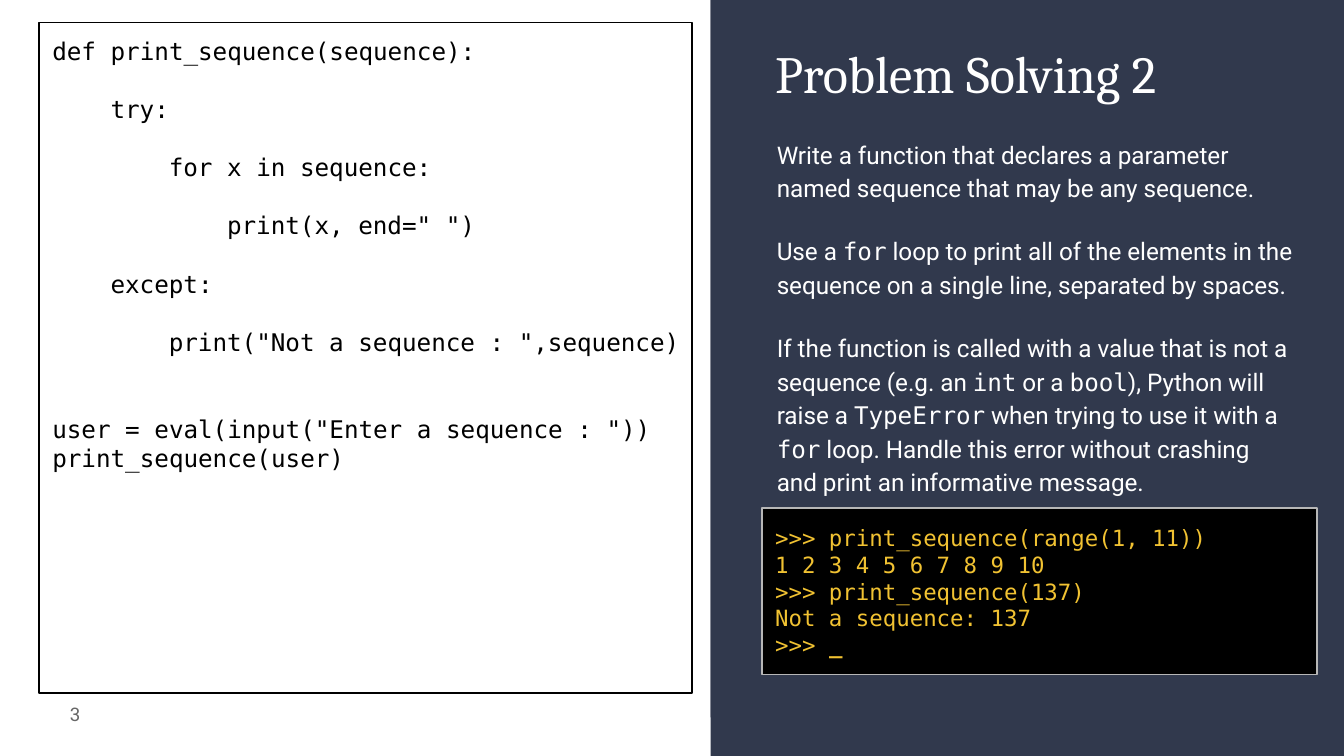
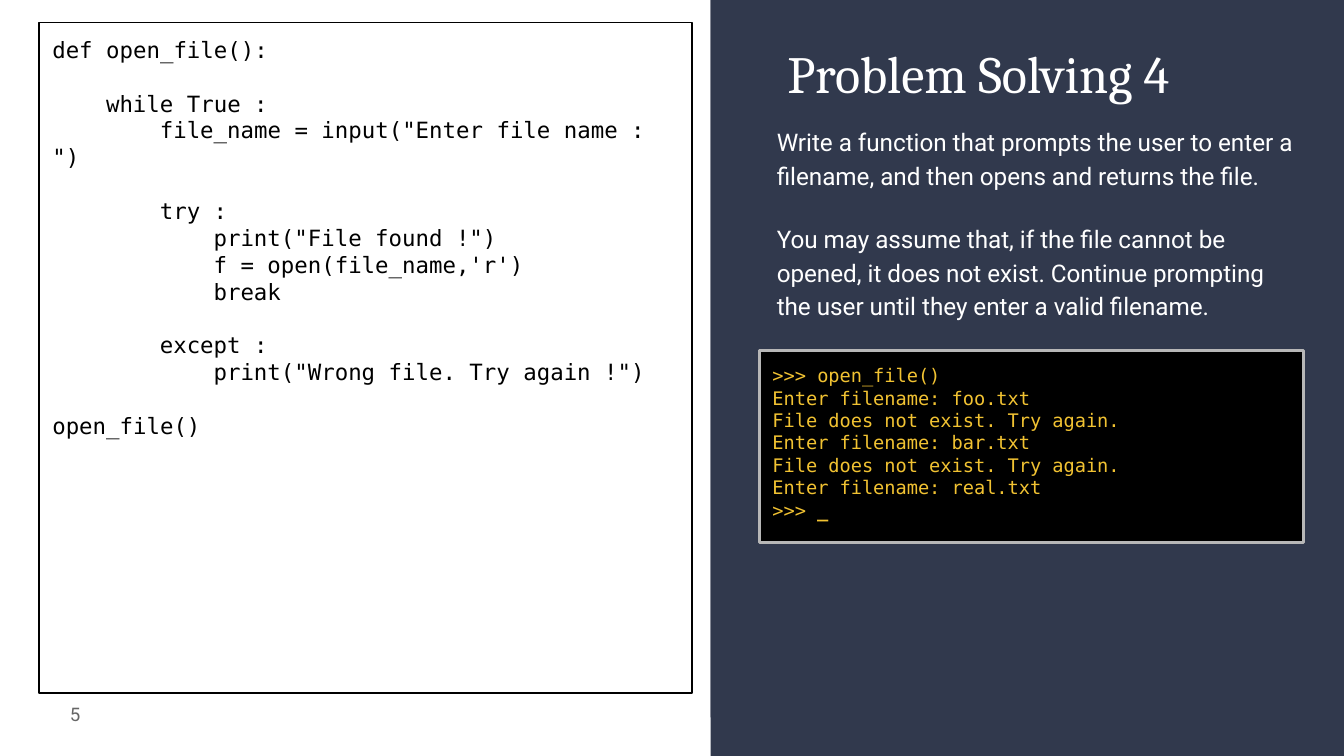
from pptx import Presentation
from pptx.dml.color import RGBColor
from pptx.enum import shapes, text
from pptx.util import Cm, Pt

NAVY = RGBColor(0x31, 0x39, 0x4D)
WHITE = RGBColor(0xFF, 0xFF, 0xFF)
BLACK = RGBColor(0, 0, 0)
SILVER = RGBColor(0xB7, 0xB7, 0xB7)
GOLD = RGBColor(0xF1, 0xC2, 0x32)
GRAY = RGBColor(0x66, 0x66, 0x66)

SERIF, SANS, MONO = "Cambria", "Roboto", "DejaVu Sans Mono"
CHARACTER_WIDTH, LINE_HEIGHT = 0.6, 1.2  # of the monospaced font, per point

SLIDE_WIDTH, SLIDE_HEIGHT = Cm(25.4), Cm(14.29)
PANEL_LEFT, PANEL_WIDTH = Cm(13.43), Cm(11.98)

SEQUENCE_CODE = """\
def print_sequence(sequence):

    try:

        for x in sequence:

            print(x, end=" ")

    except:

        print("Not a sequence : ",sequence)


user = eval(input("Enter a sequence : "))
print_sequence(user)"""

FILE_CODE = """\
def open_file():

    while True :
        file_name = input("Enter file name : ")

        try :
            print("File found !")
            f = open(file_name,'r')
            break

        except :
            print("Wrong file. Try again !")

open_file()"""


class ProblemDeck:
    def __init__(self):
        self.presentation = Presentation()
        self.presentation.slide_width = SLIDE_WIDTH
        self.presentation.slide_height = SLIDE_HEIGHT
        self.slide = None

    # Shared helpers
    def style(self, paragraph, size, color, font=None):
        paragraph.font.size = Pt(size)
        paragraph.font.color.rgb = color
        if font:
            paragraph.font.name = font

    def frame(self, shape, anchor=text.MSO_ANCHOR.TOP):
        frame = shape.text_frame
        frame.word_wrap = True
        frame.auto_size = text.MSO_AUTO_SIZE.NONE
        frame.vertical_anchor = anchor
        frame.margin_left = frame.margin_right = Cm(0.25)
        frame.margin_top = frame.margin_bottom = Cm(0.25)
        return frame

    def place(self, shape, left, top, width, height):
        shape.left, shape.top = Cm(left), Cm(top)
        shape.width, shape.height = Cm(width), Cm(height)

    def paragraphs(self, frame, count):
        """Yield count left-aligned paragraphs, starting with the first one."""
        for index in range(count):
            paragraph = frame.add_paragraph() if index else frame.paragraphs[0]
            paragraph.alignment = text.PP_ALIGN.LEFT
            yield paragraph

    def box(self, left, top, width, height, line, weight, fill=None):
        shape = self.slide.shapes.add_shape(
            shapes.MSO_SHAPE.RECTANGLE, Cm(left), Cm(top), Cm(width), Cm(height))
        shape.shadow.inherit = False
        if fill is None:
            shape.fill.background()
        else:
            shape.fill.solid()
            shape.fill.fore_color.rgb = fill
        shape.line.color.rgb = line
        shape.line.width = Pt(weight)
        return shape

    # Slide with the dark panel and its number
    def add_slide(self, number):
        self.slide = self.presentation.slides.add_slide(
            self.presentation.slide_layouts[1])
        self.panel()
        label = self.slide.shapes.add_textbox(
            Cm(0.25), Cm(12.95), Cm(1.52), Cm(1.09))
        paragraph = self.frame(label, text.MSO_ANCHOR.MIDDLE).paragraphs[0]
        paragraph.text = str(number)
        paragraph.alignment = text.PP_ALIGN.RIGHT
        self.style(paragraph, 10, GRAY, SANS)

    def panel(self):
        band = self.slide.shapes.add_shape(
            shapes.MSO_SHAPE.RECTANGLE, PANEL_LEFT, 0, PANEL_WIDTH, SLIDE_HEIGHT)
        right = PANEL_LEFT + PANEL_WIDTH
        builder = self.slide.shapes.build_freeform(PANEL_LEFT, 0)
        builder.add_line_segments(
            [(right, 0), (right, Cm(9.75)), (PANEL_LEFT, Cm(13.56))])
        slant = builder.convert_to_shape()
        tree = self.slide.shapes._spTree
        for position, shape in enumerate((band, slant), start=2):
            shape.shadow.inherit = False
            shape.fill.solid()
            shape.fill.fore_color.rgb = NAVY
            shape.line.fill.background()
            tree.insert(position, shape._element)  # behind the placeholders

    # Title and task description
    def title(self, words, left):
        shape = self.slide.shapes.title
        self.place(shape, left, 0.53, 10.29, 1.78)
        paragraph = next(self.paragraphs(self.frame(shape), 1))
        paragraph.text = words
        self.style(paragraph, 28, WHITE, SERIF)

    def task(self, top, height, steps):
        """Words between backticks are set in the code font."""
        shape = self.slide.placeholders[1]
        self.place(shape, 14.43, top, 10.29, height)
        frame = self.frame(shape)
        for index, paragraph in enumerate(self.paragraphs(frame, len(steps))):
            paragraph.line_spacing = 1.15
            paragraph.space_before = Pt(16 if index else 0)
            properties = paragraph._p.get_or_add_pPr()
            properties.set("marL", "0")
            properties.set("indent", "0")
            bullet = properties.makeelement(
                "{http://schemas.openxmlformats.org/drawingml/2006/main}buNone", {})
            properties.append(bullet)
            self.style(paragraph, 13, WHITE)
            for part, words in enumerate(steps[index].split("`")):
                run = paragraph.add_run()
                run.text = words
                run.font.name = MONO if part % 2 else SANS

    # Program listing: leading spaces become indents, empty lines become spacing
    def code(self, listing, size):
        frame = self.frame(self.box(0.74, 0.43, 12.34, 12.67, BLACK, 0.75))
        lines = listing.split("\n")
        filled = [index for index, line in enumerate(lines) if line]
        previous = -1
        for index, paragraph in zip(filled, self.paragraphs(frame, len(filled))):
            words = lines[index].lstrip()
            indent = (len(lines[index]) - len(words)) * CHARACTER_WIDTH * size
            paragraph.text = words
            paragraph.space_before = Pt((index - previous - 1) * LINE_HEIGHT * size)
            paragraph._p.get_or_add_pPr().set("indent", str(Pt(indent)))
            self.style(paragraph, size, BLACK, MONO)
            previous = index

    # Console session that ends with a waiting prompt
    def console(self, left, top, width, height, lines, size, weight, anchor):
        shape = self.box(left, top, width, height, SILVER, weight, BLACK)
        frame = self.frame(shape, anchor)
        lines = lines + [">>> "]
        for line, paragraph in zip(lines, self.paragraphs(frame, len(lines))):
            paragraph.add_run().text = line
            self.style(paragraph, size, GOLD, MONO)
        cursor = paragraph.add_run()
        cursor.text = "_"
        cursor.font.bold = True


def main():
    deck = ProblemDeck()

    # Printing a sequence
    deck.add_slide(3)
    deck.title("Problem Solving 2", 14.4)
    deck.task(2.31, 7.29, [
        "Write a function that declares a parameter named sequence that may be "
        "any sequence.",
        "Use a `for` loop to print all of the elements in the sequence on a "
        "single line, separated by spaces.",
        "If the function is called with a value that is not a sequence (e.g. an "
        "`int` or a `bool`), Python will raise a `TypeError` when trying to use "
        "it with a `for` loop. Handle this error without crashing and print an "
        "informative message.",
    ])
    deck.code(SEQUENCE_CODE, 13)
    deck.console(14.4, 9.6, 10.49, 3.15, [
        ">>> print_sequence(range(1, 11))",
        "1 2 3 4 5 6 7 8 9 10",
        ">>> print_sequence(137)",
        "Not a sequence: 137",
    ], 12, 0.75, text.MSO_ANCHOR.MIDDLE)

    # Opening a file
    deck.add_slide(5)
    deck.title("Problem Solving 4", 14.63)
    deck.task(2.08, 4.55, [
        "Write a function that prompts the user to enter a filename, and then "
        "opens and returns the file.",
        "You may assume that, if the file cannot be opened, it does not exist. "
        "Continue prompting the user until they enter a valid filename.",
    ])
    deck.code(FILE_CODE, 12)
    deck.console(14.35, 6.63, 10.29, 3.63, [
        ">>> open_file()",
        "Enter filename: foo.txt",
        "File does not exist. Try again.",
        "Enter filename: bar.txt",
        "File does not exist. Try again.",
        "Enter filename: real.txt",
    ], 10, 1.5, text.MSO_ANCHOR.TOP)

    deck.presentation.save("out.pptx")


if __name__ == "__main__":
    main()
